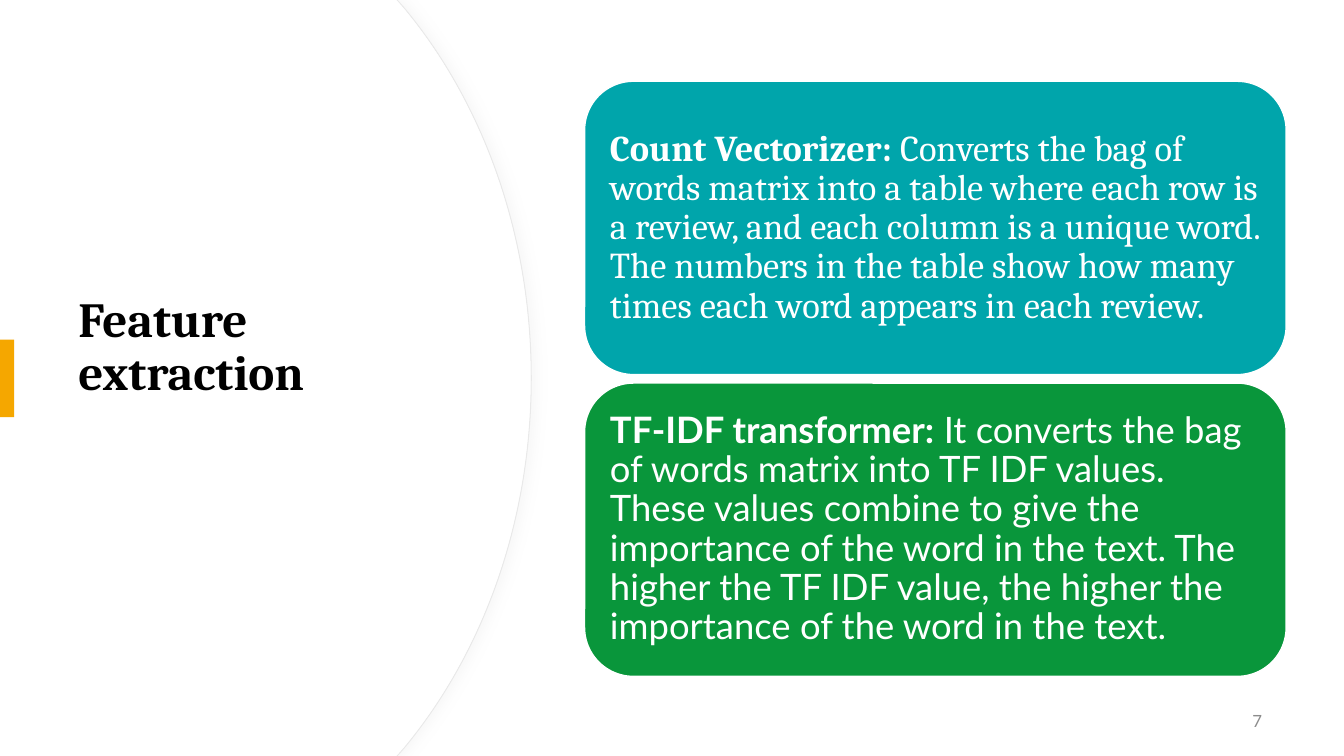
from dataclasses import dataclass

from lxml import etree
from pptx import Presentation
from pptx import util as u
from pptx.dml.color import RGBColor
from pptx.enum import shapes, text
from pptx.oxml import ns

SLIDE_WIDTH, SLIDE_HEIGHT = u.Inches(13.33), u.Inches(7.5)
# The slide is a grid of 100 columns by 100 rows.
COLUMN, ROW = SLIDE_WIDTH / 100, SLIDE_HEIGHT / 100

WHITE = RGBColor(0xFF, 0xFF, 0xFF)
BLACK = RGBColor(0x00, 0x00, 0x00)
GREY = RGBColor(0x8C, 0x8C, 0x8C)
PALE_GREY = RGBColor(0xE9, 0xE9, 0xE9)
SHADOW_GREY = RGBColor(0xD9, 0xD9, 0xD9)
AMBER = RGBColor(0xF5, 0xA7, 0x00)
TEAL = RGBColor(0x00, 0xA5, 0xAB)
GREEN = RGBColor(0x09, 0x96, 0x3B)

SERIF, SANS = "Cambria", "Lato"
CARD_TOP, CARD_HEIGHT, CARD_PITCH = 10.75, 38.8, 39.92
# Corner, start of the bulge, two control points and the middle of the edge.
UPPER_EDGE = [(29.55, 0), (30.08, 1.07), (35.93, 13.6), (39.53, 30.93), (39.53, 50)]


@dataclass(frozen=True)
class Box:
    left: float
    top: float
    width: float
    height: float

    def emu(self) -> tuple[int, int, int, int]:
        return (round(self.left * COLUMN), round(self.top * ROW),
                round(self.width * COLUMN), round(self.height * ROW))


@dataclass(frozen=True)
class Method:
    name: str
    explanation: str
    font: str
    color: RGBColor


METHODS = [
    Method("Count Vectorizer: ",
           "Converts the bag of words matrix into a table where each row is a review, "
           "and each column is a unique word. The numbers in the table show how many "
           "times each word appears in each review.", SERIF, TEAL),
    Method("TF-IDF transformer: ",
           "It converts the bag of words matrix into TF IDF values. These values combine "
           "to give the importance of the word in the text. The higher the TF IDF value, "
           "the higher the importance of the word in the text.", SANS, GREEN),
]


def add_run(paragraph, words: str, font: str, size: float, color: RGBColor,
            bold: bool = False) -> None:
    run = paragraph.add_run()
    run.text = words
    run.font.name, run.font.size, run.font.bold = font, u.Pt(size), bold
    run.font.color.rgb = color


def paint(shape, fill: RGBColor, line: RGBColor | None = None, width: float = 1) -> None:
    shape.shadow.inherit = False
    shape.fill.solid()
    shape.fill.fore_color.rgb = fill
    if line is None:
        shape.line.fill.background()
    else:
        shape.line.color.rgb = line
        shape.line.width = u.Pt(width)


def add_soft_shadow(shape) -> None:
    effects = shape._element.spPr.find(ns.qn("a:effectLst"))
    shadow = etree.SubElement(effects, ns.qn("a:outerShdw"), blurRad=str(u.Pt(8)),
                              dist=str(u.Pt(3)), dir="0", algn="l", rotWithShape="0")
    color = etree.SubElement(shadow, ns.qn("a:srgbClr"), val=str(SHADOW_GREY))
    etree.SubElement(color, ns.qn("a:alpha"), val="18000")


def bend(segments: list) -> None:
    """Turn three straight segments into one Bezier curve through their points."""
    curve = etree.Element(ns.qn("a:cubicBezTo"))
    segments[0].addprevious(curve)
    for segment in segments:
        curve.append(segment[0])
        segment.getparent().remove(segment)


def add_curved_panel(slide, shift: float):
    """Add the left panel; its bulging edge moves left by shift columns."""
    upper = [(x - shift, y) for x, y in UPPER_EDGE]
    lower = [(x, 100 - y) for x, y in reversed(upper[:-1])]
    outline = [(round(x * COLUMN), round(y * ROW))
               for x, y in [*upper, *lower, (0, 100)]]
    builder = slide.shapes.build_freeform(0, 0)
    builder.add_line_segments(outline, close=True)
    panel = builder.convert_to_shape()
    segments = list(panel._element.iter(ns.qn("a:lnTo")))
    bend(segments[2:5])
    bend(segments[5:8])
    return panel


def add_rectangle(slide, box: Box, fill: RGBColor) -> None:
    rectangle = slide.shapes.add_shape(shapes.MSO_SHAPE.RECTANGLE, *box.emu())
    paint(rectangle, fill)


def add_text_box(slide, box: Box):
    frame = slide.shapes.add_textbox(*box.emu()).text_frame
    frame.word_wrap = True
    frame.vertical_anchor = text.MSO_ANCHOR.MIDDLE
    return frame


def add_card(slide, method: Method, box: Box) -> None:
    card = slide.shapes.add_shape(shapes.MSO_SHAPE.ROUNDED_RECTANGLE, *box.emu())
    paint(card, method.color, WHITE)
    frame = card.text_frame
    frame.word_wrap = True
    frame.vertical_anchor = text.MSO_ANCHOR.MIDDLE
    frame.margin_left = frame.margin_right = u.Inches(0.11)
    frame.margin_top = frame.margin_bottom = u.Inches(0.11)
    paragraph = frame.paragraphs[0]
    paragraph.alignment = text.PP_ALIGN.LEFT
    paragraph.line_spacing = 0.9
    add_run(paragraph, method.name, method.font, 26, WHITE, bold=True)
    add_run(paragraph, method.explanation, method.font, 26, WHITE)


def main() -> None:
    deck = Presentation()
    deck.slide_width, deck.slide_height = SLIDE_WIDTH, SLIDE_HEIGHT
    slide = deck.slides.add_slide(deck.slide_layouts[6])

    add_rectangle(slide, Box(0, 0, 100, 100), WHITE)
    panel = add_curved_panel(slide, shift=0)
    paint(panel, WHITE, PALE_GREY, 0.75)
    add_soft_shadow(panel)
    paint(add_curved_panel(slide, shift=0.07), WHITE)

    heading = add_text_box(slide, Box(5.1, 16.93, 29.55, 66))
    heading.margin_bottom = u.Inches(0.63)
    heading.paragraphs[0].line_spacing = 0.9
    add_run(heading.paragraphs[0], "Feature extraction", SERIF, 35, BLACK, bold=True)

    add_rectangle(slide, Box(0, 44.93, 1.05, 10.27), AMBER)

    page_number = add_text_box(slide, Box(72.15, 92.67, 22.5, 5.33)).paragraphs[0]
    page_number.alignment = text.PP_ALIGN.RIGHT
    add_run(page_number, "7", SANS, 12, GREY)

    for index, method in enumerate(METHODS):
        add_card(slide, method,
                 Box(43.5, CARD_TOP + index * CARD_PITCH, 52.2, CARD_HEIGHT))

    deck.save("out.pptx")


if __name__ == "__main__":
    main()
